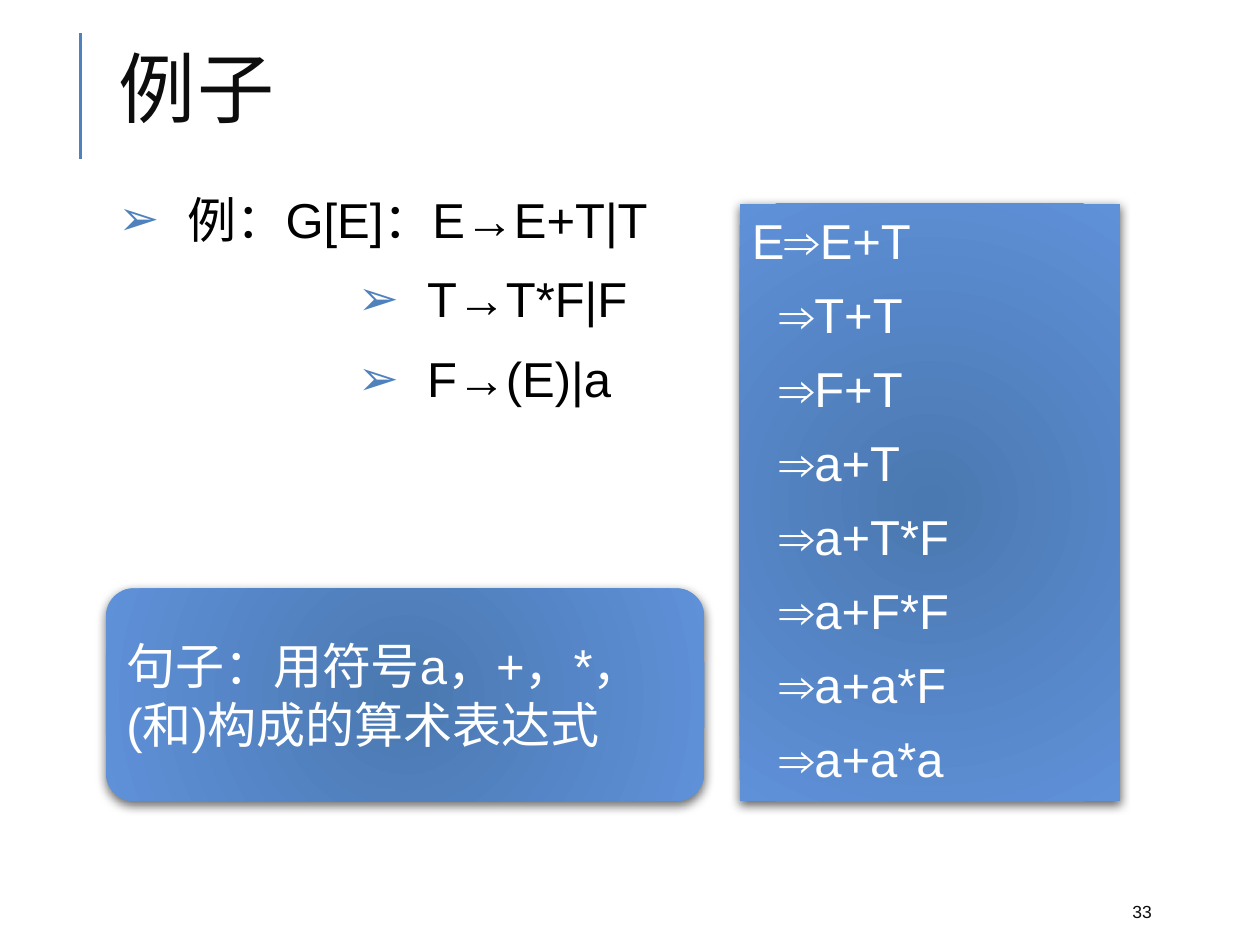
from lxml import etree
from pptx import Presentation
from pptx.dml.color import RGBColor
from pptx.enum.shapes import MSO_CONNECTOR, MSO_SHAPE
from pptx.enum.text import MSO_ANCHOR, MSO_AUTO_SIZE, PP_ALIGN
from pptx.oxml.ns import qn
from pptx.util import Pt

STRAIGHT = MSO_CONNECTOR.STRAIGHT
RECTANGLE = MSO_SHAPE.RECTANGLE
ROUNDED = MSO_SHAPE.ROUNDED_RECTANGLE
TOP, MIDDLE = MSO_ANCHOR.TOP, MSO_ANCHOR.MIDDLE
LEFT = PP_ALIGN.LEFT
NO_AUTOFIT = MSO_AUTO_SIZE.NONE

BLACK = RGBColor(0x00, 0x00, 0x00)
INK = RGBColor(0x0D, 0x0D, 0x0D)
WHITE = RGBColor(0xFF, 0xFF, 0xFF)
ACCENT = RGBColor(0x4F, 0x81, 0xBD)
PANEL_CENTER = RGBColor(0x4A, 0x78, 0xB0)
PANEL_EDGE = RGBColor(0x5F, 0x91, 0xD9)


def add_element(parent, tag, **attributes):
    values = {name: str(value) for name, value in attributes.items()}
    return etree.SubElement(parent, qn(tag), values)


class SlideBuilder:
    font_name = "Arial"
    text_size = 28
    paragraph_gap = 6
    hanging = 39.6

    def __init__(self, slide):
        self.slide = slide

    def place(self, shape, box):
        shape.left, shape.top, shape.width, shape.height = map(Pt, box)

    def fill_text(self, shape, lines, size, color, anchor, gap=0, spacing=1.0):
        frame = shape.text_frame
        frame.text = "\n".join(lines)
        frame.word_wrap = True
        frame.auto_size = NO_AUTOFIT
        frame.vertical_anchor = anchor
        for index, paragraph in enumerate(frame.paragraphs):
            paragraph.alignment = LEFT
            paragraph.line_spacing = spacing
            paragraph.space_before = Pt(gap if index else 0)
            paragraph.space_after = Pt(gap)
            for run in paragraph.runs:
                run.font.name = self.font_name
                run.font.size = Pt(size)
                run.font.color.rgb = color
        return frame.paragraphs

    def indent(self, paragraph, margin, first_line=0):
        properties = paragraph._p.get_or_add_pPr()
        properties.set("marL", str(Pt(margin)))
        properties.set("indent", str(Pt(first_line)))
        return properties

    def title(self, text, box):
        shape = self.slide.shapes.title
        self.place(shape, box)
        paragraph = self.fill_text(shape, [text], 44, INK, MIDDLE, spacing=0.8)[0]
        paragraph.runs[0].font._element.set("spc", "100")

    def bullets(self, items, box):
        shape = self.slide.placeholders[1]
        self.place(shape, box)
        lines = [text for text, margin in items]
        paragraphs = self.fill_text(
            shape, lines, self.text_size, BLACK, TOP, self.paragraph_gap)
        for paragraph, (text, margin) in zip(paragraphs, items):
            properties = self.indent(paragraph, margin, -self.hanging)
            bullet_color = add_element(properties, "a:buClr")
            add_element(bullet_color, "a:srgbClr", val=ACCENT)
            add_element(properties, "a:buChar", char="➢")

    def panel(self, kind, box, lines, gap=0, spacing=1.0):
        shape = self.slide.shapes.add_shape(kind, *map(Pt, box))
        shape.line.fill.background()
        shape.fill.gradient()
        for stop, color in zip(shape.fill.gradient_stops, (PANEL_CENTER, PANEL_EDGE)):
            stop.color.rgb = color
        properties = shape._element.spPr
        gradient = properties.find(qn("a:gradFill"))
        gradient.remove(gradient.find(qn("a:lin")))
        circle = add_element(gradient, "a:path", path="circle")
        add_element(circle, "a:fillToRect", l=100000, t=100000, r=100000, b=100000)
        shape.shadow.inherit = False
        shadow = add_element(
            properties.find(qn("a:effectLst")), "a:outerShdw",
            blurRad=Pt(6), dist=Pt(2), dir=90 * 60000, rotWithShape=0)
        shadow_color = add_element(shadow, "a:srgbClr", val=BLACK)
        add_element(shadow_color, "a:alpha", val=60000)
        self.fill_text(shape, lines, self.text_size, WHITE, MIDDLE, gap, spacing)
        return shape

    def rule(self, x, top, bottom):
        line = self.slide.shapes.add_connector(
            STRAIGHT, Pt(x), Pt(bottom), Pt(x), Pt(top))
        line.line.color.rgb = ACCENT
        line.line.width = Pt(1.5)
        add_element(line._element.spPr, "a:effectLst")

    def label(self, text, box, size):
        shape = self.slide.shapes.add_textbox(*map(Pt, box))
        self.fill_text(shape, [text], size, INK, MIDDLE)


def main():
    presentation = Presentation()
    presentation.slide_width, presentation.slide_height = Pt(720), Pt(540)
    slide = presentation.slides.add_slide(presentation.slide_layouts[1])
    builder = SlideBuilder(slide)

    builder.rule(46, 19, 91)
    builder.label("33", (640, 510, 57.6, 21.6), 10)
    builder.title("例子", (60.5, 19, 612, 70.5))
    builder.bullets(
        [("例：G[E]：E→E+T|T", 39.6), ("T→T*F|F", 176.4), ("F→(E)|a", 176.4)],
        (60.5, 104.4, 612, 168.5))

    sentence = builder.panel(
        ROUNDED, (60.5, 336.2, 342, 121.7),
        ["句子：用符号a，+，*，(和)构成的算术表达式"])
    sentence.adjustments[0] = 0.13

    steps = ["T+T", "F+T", "a+T", "a+T*F", "a+F*F", "a+a*F", "a+a*a"]
    derivation = builder.panel(
        RECTANGLE, (422.6, 116.6, 217.4, 341.3),
        ["E⇒E+T"] + [f"⇒{step}" for step in steps],
        builder.paragraph_gap, 0.9)
    for paragraph in derivation.text_frame.paragraphs[1:]:
        builder.indent(paragraph, 15.5)

    presentation.save("out.pptx")


if __name__ == "__main__":
    main()
